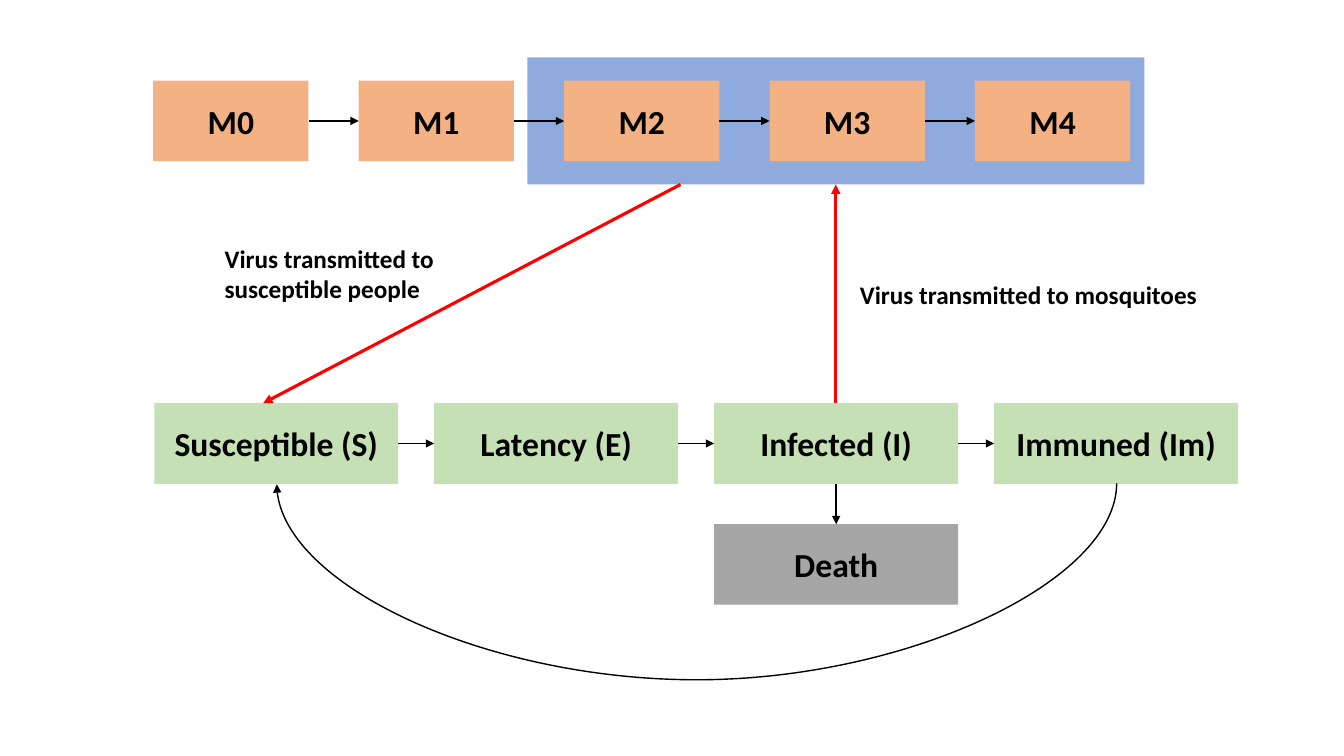
"""Build a slide on virus transmission between mosquito and human stages."""
from lxml.etree import SubElement
from pptx import Presentation
from pptx.dml.color import RGBColor
from pptx.enum.shapes import MSO_CONNECTOR as CONN, MSO_SHAPE as SHAPE
from pptx.enum.text import MSO_ANCHOR as ANCHOR, PP_ALIGN as ALIGN
from pptx.oxml.ns import qn
from pptx.util import Inches, Pt

BLACK, RED = "000000", "FF0000"
ORANGE, GREEN, BLUE, GREY = "F4B183", "C5E0B4", "8FAADC", "A6A6A6"


def paint(color_format, color):
    """Set a colour format from a hex string."""
    color_format.rgb = RGBColor.from_string(color)


def write(tf, text, size=24, align=ALIGN.CENTER, color=BLACK, bold=True):
    """Fill a text frame, one paragraph for each line of text."""
    for i, line in enumerate(text.split("\n")):
        p = tf.add_paragraph() if i else tf.paragraphs[0]
        p.alignment = align
        r = p.add_run()
        r.text = line
        r.font.name, r.font.size, r.font.bold = "Calibri", Pt(size), bold
        paint(r.font.color, color)


def add_box(s, x, y, w, h, fill, text=""):
    """Add a plain filled rectangle with optional centred text."""
    sp = s.shapes.add_shape(SHAPE.RECTANGLE, *map(Inches, (x, y, w, h)))
    sp.shadow.inherit = False
    sp.fill.solid()
    paint(sp.fill.fore_color, fill)
    sp.line.fill.background()
    if text:
        sp.text_frame.vertical_anchor = ANCHOR.MIDDLE
        write(sp.text_frame, text)
    return sp


def add_arrow(s, x1, y1, x2, y2, color=BLACK, width=1, kind=CONN.STRAIGHT):
    """Add a connector with a triangular head at its end."""
    c = s.shapes.add_connector(kind, *map(Inches, (x1, y1, x2, y2)))
    paint(c.line.color, color)
    c.line.width = Pt(width)
    SubElement(c.line._get_or_add_ln(), qn("a:tailEnd"), type="triangle")
    SubElement(c._element.spPr, qn("a:effectLst"))
    return c


def add_return_arc(s, x1, x2, y, depth):
    """Add a curved arrow that hangs below y and runs from x2 back to x1."""
    mid, half, drop = (x1 + x2) / 2, (x2 - x1) / 2, 0.01
    c = add_arrow(s, mid, y - half, mid + drop, y + half, kind=CONN.CURVE)
    c._element.spPr.find(qn("a:xfrm")).set("rot", str(90 * 60000))
    av = c._element.spPr.find(qn("a:prstGeom")).find(qn("a:avLst"))
    ratio = round(depth / drop * 100000)
    SubElement(av, qn("a:gd"), name="adj1", fmla=f"val {ratio}")


def add_chain(s, x, y, w, h, labels, box_w, fill):
    """Spread boxes evenly over a row, link them and return their centres."""
    step = (w - box_w) / (len(labels) - 1)
    lefts = [x + i * step for i in range(len(labels))]
    for left, label in zip(lefts, labels):
        add_box(s, left, y, box_w, h, fill, label)
    for left, following in zip(lefts, lefts[1:]):
        add_arrow(s, left + box_w, y + h / 2, following, y + h / 2)
    return [left + box_w / 2 for left in lefts]


def add_mosquitoes(s, x, y, w, h):
    """Add the mosquito stages, with the infectious ones on a panel."""
    add_box(s, x + 3.71, y - 0.23, 6.12, h + 0.46, BLUE)
    add_chain(s, x, y, w, h, [f"M{i}" for i in range(5)], 1.54, ORANGE)


def add_people(s, x, y, w, h):
    """Add the human states, death and the loss of immunity."""
    labels = ["Susceptible (S)", "Latency (E)", "Infected (I)", "Immuned (Im)"]
    box_w, gap = 2.42, 0.4
    centres = add_chain(s, x, y, w, h, labels, box_w, GREEN)
    infected, bottom = centres[2], y + h
    add_box(s, infected - box_w / 2, bottom + gap, box_w, h, GREY, "Death")
    add_arrow(s, infected, bottom, infected, bottom + gap)
    add_return_arc(s, centres[0], centres[3], bottom, 1.98)


def add_note(s, x, y, w, h, text):
    """Add a left-aligned note beside a transmission arrow."""
    tf = s.shapes.add_textbox(*map(Inches, (x, y, w, h))).text_frame
    tf.word_wrap = False
    write(tf, text, size=18, align=ALIGN.LEFT)


def add_transmission(s, x, y, w, h):
    """Add the two red arrows between the rows and their notes."""
    add_arrow(s, x + 4.14, y, x, y + h, RED, 2.25)
    add_arrow(s, x + w, y + h, x + w, y, RED, 2.25)
    add_note(s, x + w + 0.14, y + 0.89, 3.58, 0.4,
             "Virus transmitted to mosquitoes")
    add_note(s, x - 0.48, y + 0.53, 2.36, 0.71,
             "Virus transmitted to\nsusceptible people")


prs = Presentation()
prs.slide_width, prs.slide_height = Inches(13.33), Inches(7.5)
s = prs.slides.add_slide(prs.slide_layouts[6])
add_mosquitoes(s, 1.52, 0.8, 9.69, 0.8)
add_people(s, 1.53, 4, 10.75, 0.8)
add_transmission(s, 2.61, 1.83, 5.68, 2.17)
prs.save("out.pptx")
